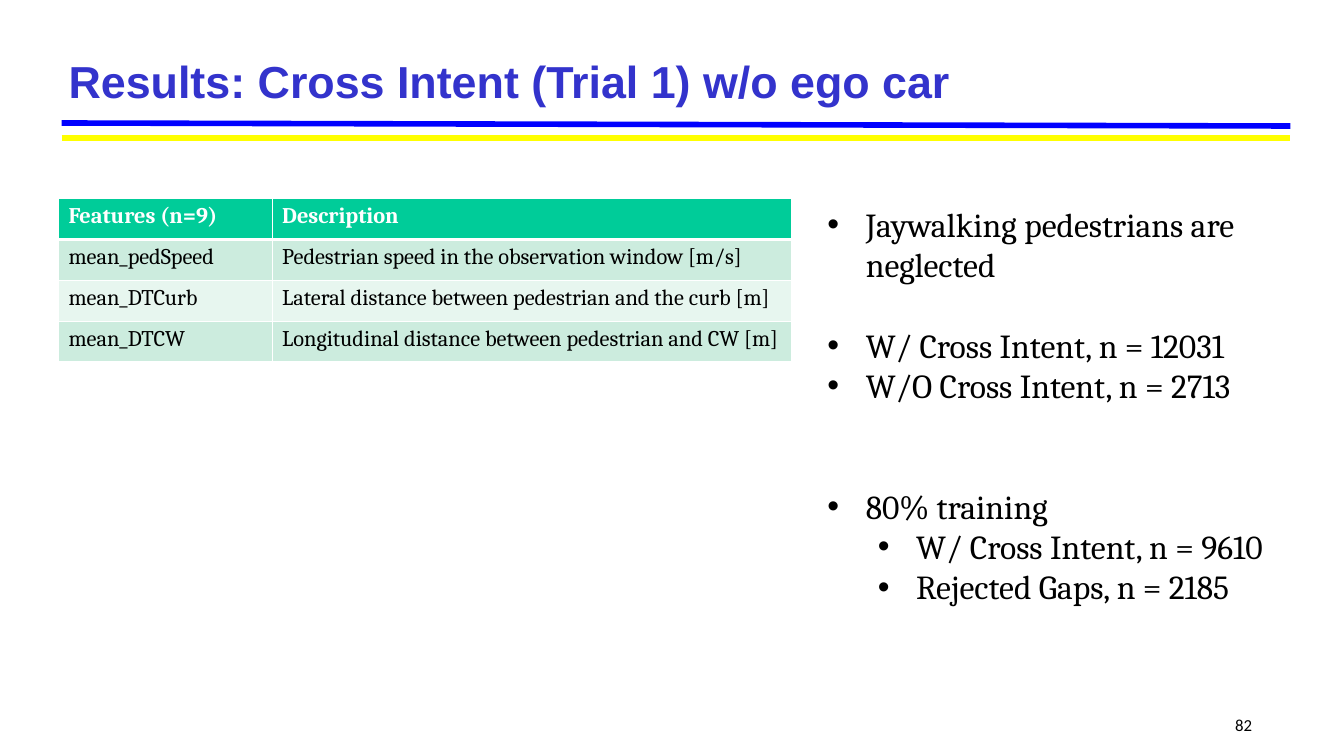
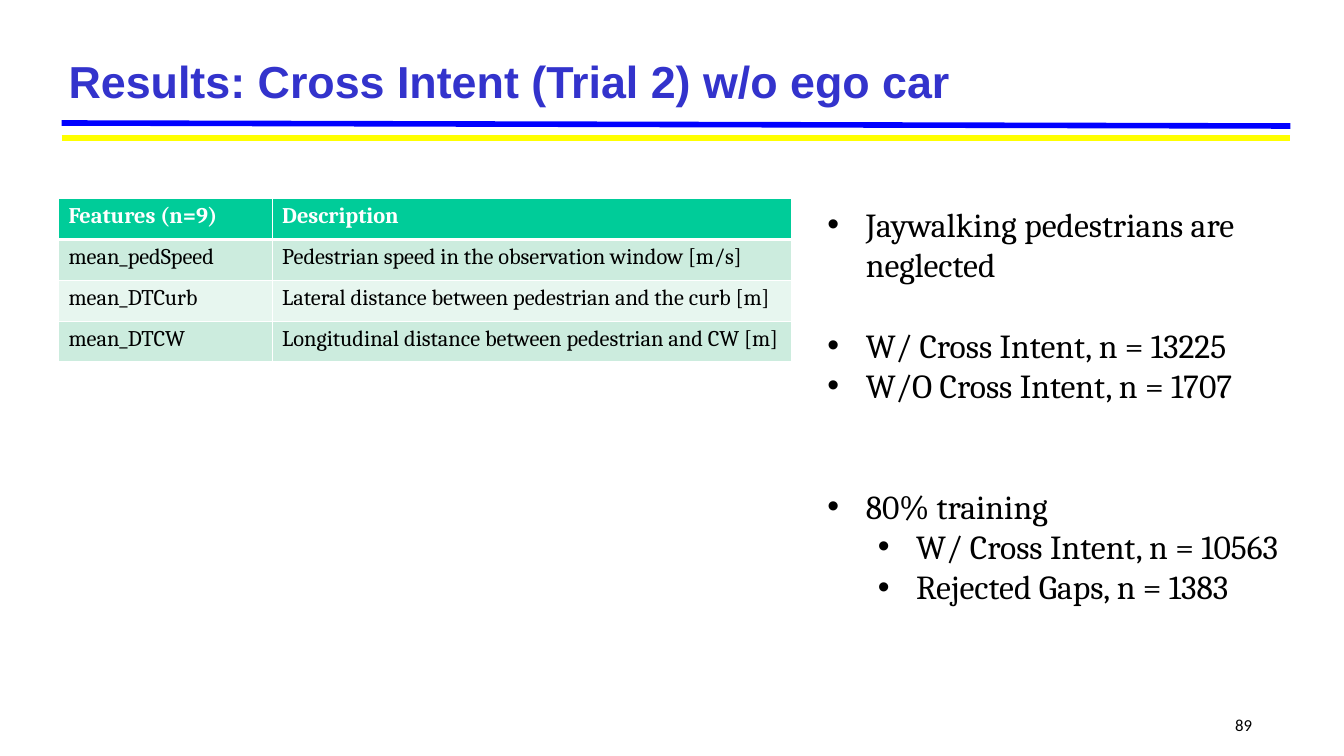
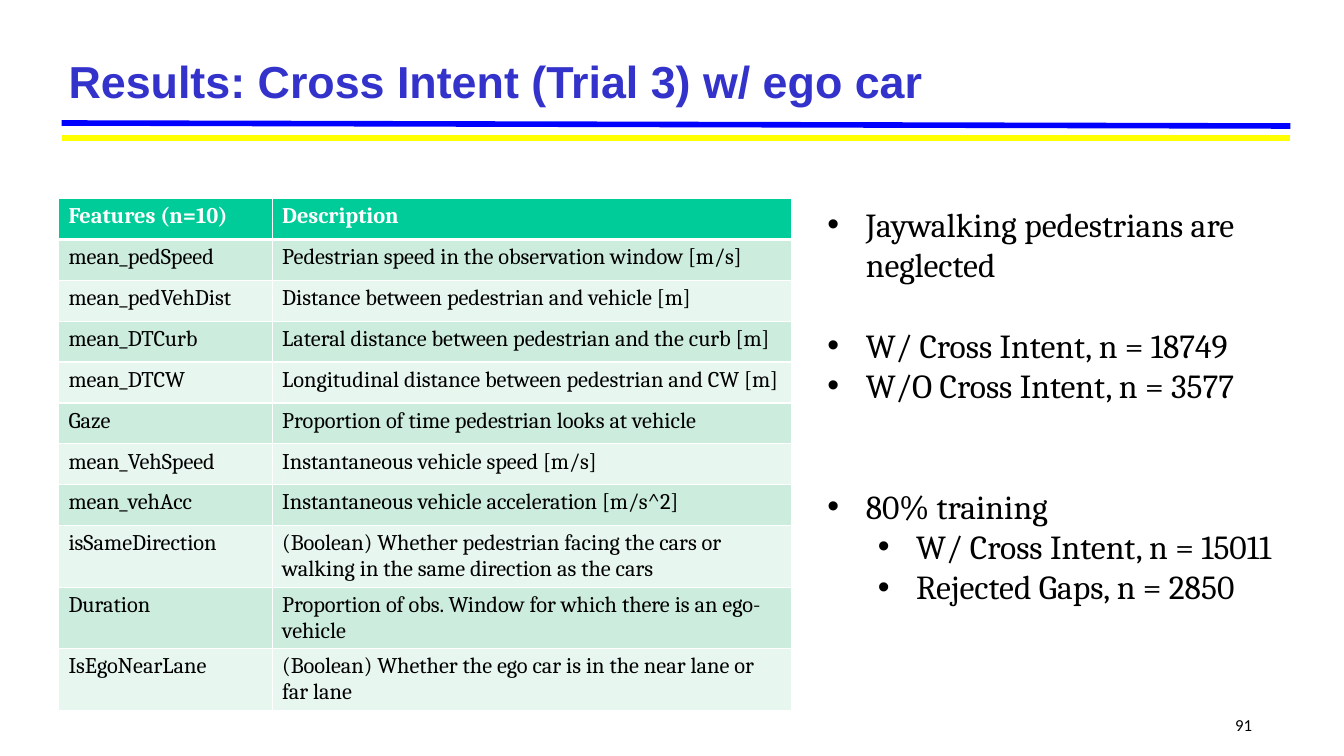
from dataclasses import dataclass

from lxml.etree import SubElement
from pptx import Presentation
from pptx.dml.color import RGBColor
from pptx.enum.shapes import MSO_CONNECTOR
from pptx.enum.text import MSO_ANCHOR, MSO_AUTO_SIZE, PP_ALIGN
from pptx.oxml.ns import qn
from pptx.util import Inches, Pt

WIDTH, HEIGHT = Inches(13.33), Inches(7.5)
TITLE_ONLY = 5

COLORS = {
    "title": "3333CC",
    "blue rule": "0000FF",
    "yellow rule": "FFFF00",
    "header": "00CC99",
    "odd row": "CCECDE",
    "even row": "E7F6EF",
    "white": "FFFFFF",
    "text": "000000",
}

FORMATS = {
    "title": {"name": "Arial", "size": Pt(32), "bold": True},
    "header": {"name": "Cambria", "size": Pt(16), "bold": True},
    "cell": {"name": "Cambria", "size": Pt(16), "bold": False},
    "bullet": {"name": "Cambria", "size": Pt(24)},
    "number": {"name": "Calibri", "size": Pt(12)},
}

FEATURES = {
    "mean_pedSpeed": "Pedestrian speed in the observation window [m/s]",
    "mean_pedVehDist": "Distance between pedestrian and vehicle [m]",
    "mean_DTCurb": "Lateral distance between pedestrian and the curb [m]",
    "mean_DTCW": "Longitudinal distance between pedestrian and CW [m]",
    "Gaze": "Proportion of time pedestrian looks at vehicle",
    "mean_VehSpeed": "Instantaneous vehicle speed [m/s]",
    "mean_vehAcc": "Instantaneous vehicle acceleration [m/s^2]",
    "isSameDirection": "(Boolean) Whether pedestrian facing the cars or "
                       "walking in the same direction as the cars",
    "Duration": "Proportion of obs. Window for which there is an ego-vehicle",
    "IsEgoNearLane": "(Boolean) Whether the ego car is in the near lane or far lane",
}
WITHOUT_EGO = ("mean_pedSpeed", "mean_DTCurb", "mean_DTCW")


@dataclass(frozen=True)
class Area:
    """A rectangle in percent of the slide's width and height."""
    left: float
    top: float
    width: float
    height: float

    def lengths(self) -> tuple[int, int, int, int]:
        return across(self.left), down(self.top), across(self.width), down(self.height)


@dataclass(frozen=True)
class Rule:
    start: float
    end: float
    color: str


@dataclass(frozen=True)
class Bullet:
    text: str
    level: int = 0
    lines_before: int = 0


@dataclass(frozen=True)
class Trial:
    title: str
    page_number: int
    feature_count: int
    features: tuple[str, ...]
    crossing: int
    not_crossing: int
    training_crossing: int
    training_rejected: int

    def bullets(self) -> list[Bullet]:
        return [
            Bullet("Jaywalking pedestrians are neglected"),
            Bullet(f"W/ Cross Intent, n = {self.crossing}", lines_before=1),
            Bullet(f"W/O Cross Intent, n = {self.not_crossing}"),
            Bullet("80% training", lines_before=2),
            Bullet(f"W/ Cross Intent, n = {self.training_crossing}", level=1),
            Bullet(f"Rejected Gaps, n = {self.training_rejected}", level=1),
        ]


TITLE_AREA = Area(4.35, 6.67, 91.67, 7.87)
BULLET_AREA = Area(60.83, 26.27, 36.82, 55.2)
NUMBER_AREA = Area(90.75, 93.87, 3.15, 3.47)
TABLE_LEFT, TABLE_TOP = 4.35, 26.27
TABLE_COLUMNS, TABLE_ROW = (15.9, 38.63), 5.41
RULE_LEFT, RULE_RIGHT = 4.58, 96.02
RULES = (Rule(16.27, 16.67, "blue rule"), Rule(18.27, 18.27, "yellow rule"))
BULLET_LINE = 28.8
HANGING, LEVEL_STEP = Inches(0.38), Inches(0.5)

TRIALS = (
    Trial("Results: Cross Intent (Trial 1) w/o ego car", 82, 9, WITHOUT_EGO,
          12031, 2713, 9610, 2185),
    Trial("Results: Cross Intent (Trial 2) w/o ego car", 89, 9, WITHOUT_EGO,
          13225, 1707, 10563, 1383),
    Trial("Results: Cross Intent (Trial 3) w/ ego car", 91, 10, tuple(FEATURES),
          18749, 3577, 15011, 2850),
)


def across(percent: float) -> int:
    return round(WIDTH * percent / 100)


def down(percent: float) -> int:
    return round(HEIGHT * percent / 100)


def color_of(name: str) -> RGBColor:
    return RGBColor.from_string(COLORS[name])


def write(para, text: str, style: str, color: str = "text") -> None:
    span = para.add_run()
    span.text = text
    for attribute, value in FORMATS[style].items():
        setattr(span.font, attribute, value)
    span.font.color.rgb = color_of(color)


def add_title(page, text: str) -> None:
    title = page.shapes.title
    title.left, title.top, title.width, title.height = TITLE_AREA.lengths()
    frame = title.text_frame
    frame.auto_size = MSO_AUTO_SIZE.NONE
    frame.vertical_anchor = MSO_ANCHOR.MIDDLE
    para = frame.paragraphs[0]
    para.alignment = PP_ALIGN.LEFT
    write(para, text, "title", "title")


def add_rules(page) -> None:
    for rule in RULES:
        line = page.shapes.add_connector(
            MSO_CONNECTOR.STRAIGHT, across(RULE_LEFT), down(rule.start),
            across(RULE_RIGHT), down(rule.end))
        line.line.width = Pt(4)
        line.line.color.rgb = color_of(rule.color)
        SubElement(line.element.spPr, qn("a:effectLst"))


def add_borders(cell, top: int = 1, bottom: int = 1) -> None:
    """Draw white cell borders; must run before the cell gets its fill."""
    properties = cell._tc.get_or_add_tcPr()
    for side, points in {"L": 1, "R": 1, "T": top, "B": bottom}.items():
        border = SubElement(properties, qn(f"a:ln{side}"), w=str(Pt(points)))
        fill = SubElement(border, qn("a:solidFill"))
        SubElement(fill, qn("a:srgbClr"), val=COLORS["white"])


def add_feature_table(page, trial: Trial) -> None:
    rows = [(f"Features (n={trial.feature_count})", "Description")]
    rows += [(name, FEATURES[name]) for name in trial.features]
    area = Area(TABLE_LEFT, TABLE_TOP, sum(TABLE_COLUMNS), TABLE_ROW * len(rows))
    table = page.shapes.add_table(len(rows), len(TABLE_COLUMNS), *area.lengths()).table
    for column, width in zip(table.columns, TABLE_COLUMNS):
        column.width = across(width)
    for number, texts in enumerate(rows):
        table.rows[number].height = down(TABLE_ROW)
        is_header = number == 0
        fill = "header" if is_header else "odd row" if number % 2 else "even row"
        for cell, text in zip(table.rows[number].cells, texts):
            add_borders(cell, top=3 if number == 1 else 1, bottom=3 if is_header else 1)
            cell.fill.solid()
            cell.fill.fore_color.rgb = color_of(fill)
            write(cell.text_frame.paragraphs[0], text,
                  "header" if is_header else "cell", "white" if is_header else "text")


def add_bullets(page, bullets: list[Bullet]) -> None:
    frame = page.shapes.add_textbox(*BULLET_AREA.lengths()).text_frame
    frame.word_wrap = True
    for number, bullet in enumerate(bullets):
        para = frame.add_paragraph() if number else frame.paragraphs[0]
        para.level = bullet.level
        para.space_before = Pt(BULLET_LINE * bullet.lines_before)
        properties = para._p.get_or_add_pPr()
        properties.set("marL", str(HANGING + LEVEL_STEP * bullet.level))
        properties.set("indent", str(-HANGING))
        SubElement(properties, qn("a:buFont"), typeface="Arial")
        SubElement(properties, qn("a:buChar"), char="•")
        write(para, bullet.text, "bullet")


def add_page_number(page, number: int) -> None:
    frame = page.shapes.add_textbox(*NUMBER_AREA.lengths()).text_frame
    frame.word_wrap = True
    para = frame.paragraphs[0]
    para.alignment = PP_ALIGN.RIGHT
    write(para, str(number), "number")


def main() -> None:
    deck = Presentation()
    deck.slide_width, deck.slide_height = WIDTH, HEIGHT
    for trial in TRIALS:
        page = deck.slides.add_slide(deck.slide_layouts[TITLE_ONLY])
        add_rules(page)
        add_title(page, trial.title)
        add_feature_table(page, trial)
        add_page_number(page, trial.page_number)
        add_bullets(page, trial.bullets())
    deck.save("out.pptx")


if __name__ == "__main__":
    main()
